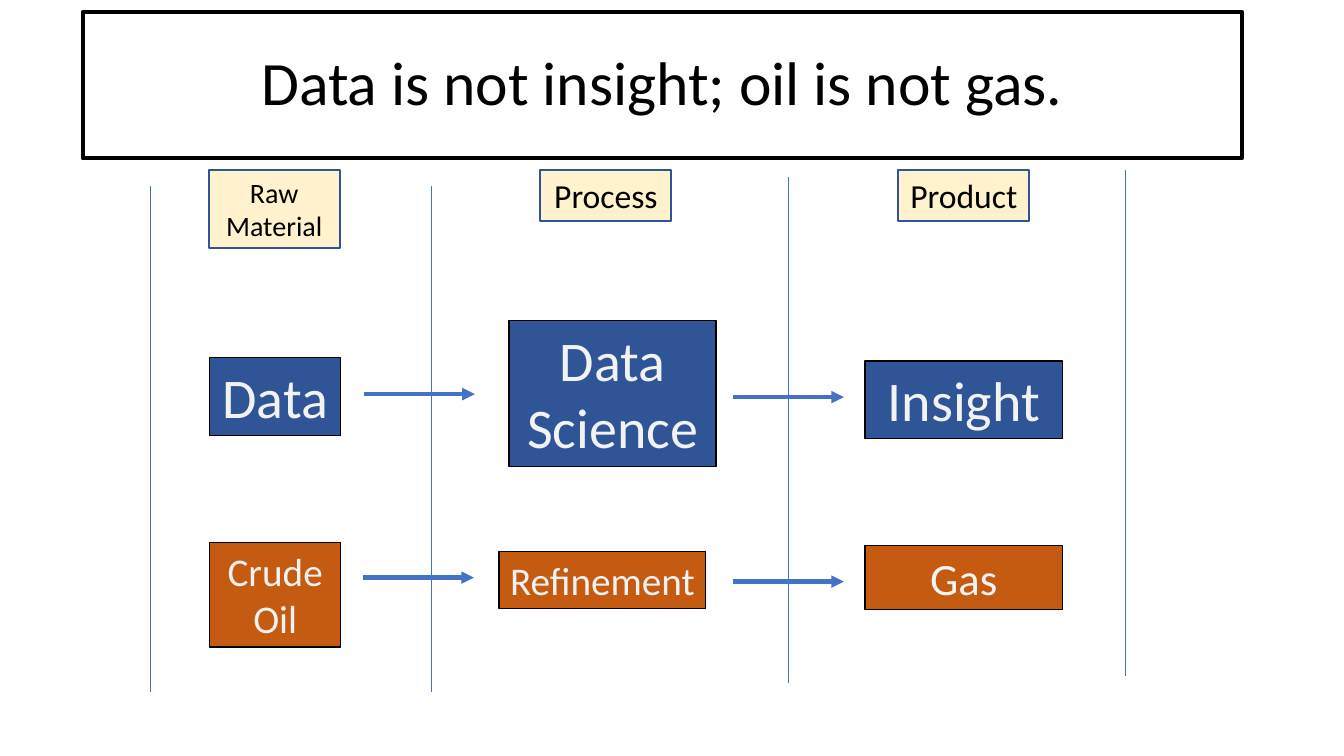
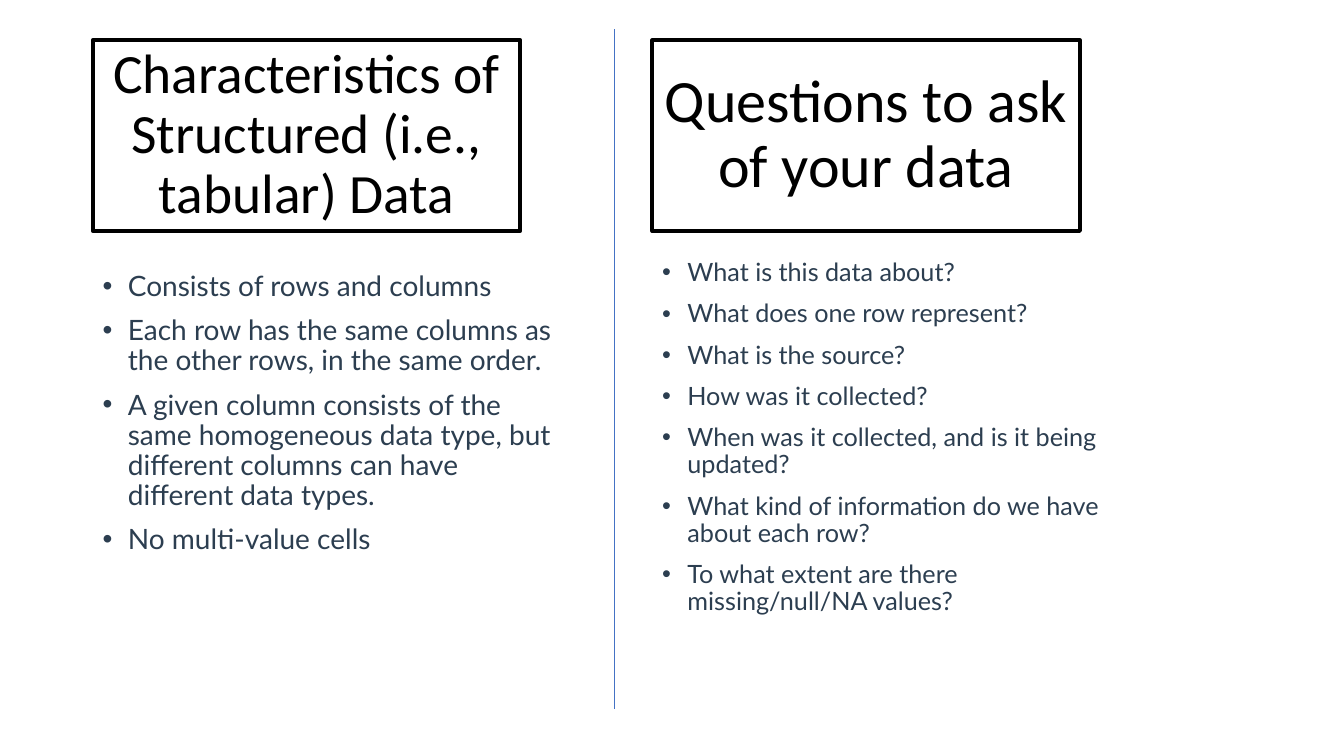
from lxml import etree
from pptx import Presentation
from pptx.dml.color import RGBColor
from pptx.enum.shapes import MSO_CONNECTOR, MSO_SHAPE
from pptx.enum.text import MSO_ANCHOR, PP_ALIGN
from pptx.oxml.ns import qn
from pptx.util import Inches, Pt

RECTANGLE = MSO_SHAPE.RECTANGLE
STRAIGHT = MSO_CONNECTOR.STRAIGHT
TOP, MIDDLE = MSO_ANCHOR.TOP, MSO_ANCHOR.MIDDLE
CENTER = PP_ALIGN.CENTER

COLORS = {
    "black": "000000",
    "navy": "2F5597",
    "orange": "C55A11",
    "cream": "FFF2CC",
    "pale": "F2F2F2",
    "blue": "4472C4",
    "slate": "2C3E50",
}
HEADING_FONT = "Calibri"
BODY_FONT = "Lato"

HEADERS = [
    ("Raw Material", 2.07, 0.77, 20),
    ("Process", 5.36, 0.5, 24),
    ("Product", 8.91, 0.5, 24),
]
STEPS = [
    ("Data", (2.08, 3.55, 1.3, 0.77), 40, "navy"),
    ("Data Science", (5.05, 3.18, 2.05, 1.45), 40, "navy"),
    ("Insight", (8.58, 3.58, 1.96, 0.77), 40, "navy"),
    ("Crude Oil", (2.08, 5.38, 1.3, 1.04), 28, "orange"),
    ("Refinement", (4.95, 5.47, 2.05, 0.57), 28, "orange"),
    ("Gas", (8.58, 5.41, 1.96, 0.64), 32, "orange"),
]
ARROWS = [(3.61, 3.91), (7.27, 3.94), (3.6, 5.73), (7.27, 5.77)]
DIVIDERS = [(1.49, 1.85), (4.28, 1.85), (7.82, 1.76), (11.16, 1.69)]

CHARACTERISTICS = [
    "Consists of rows and columns",
    "Each row has the same columns as the other rows, in the same order.",
    "A given column consists of the same homogeneous data type, "
    "but different columns can have different data types.",
    "No multi-value cells",
]
QUESTIONS = [
    "What is this data about?",
    "What does one row represent?",
    "What is the source?",
    "How was it collected?",
    "When was it collected, and is it being updated?",
    "What kind of information do we have about each row?",
    "To what extent are there missing/null/NA values?",
]


def rgb(name):
    return RGBColor.from_string(COLORS[name])


def set_font(para, name, size, color):
    para.font.name = name
    para.font.size = Pt(size)
    para.font.color.rgb = rgb(color)


def add_box(page, text, area, size, fill, line, width, color, anchor=TOP):
    box = page.shapes.add_shape(RECTANGLE, *map(Inches, area))
    box.shadow.inherit = False
    if fill:
        box.fill.solid()
        box.fill.fore_color.rgb = rgb(fill)
    else:
        box.fill.background()
    box.line.color.rgb = rgb(line)
    box.line.width = Pt(width)
    frame = box.text_frame
    frame.word_wrap = True
    frame.vertical_anchor = anchor
    para = frame.paragraphs[0]
    para.text = text
    para.alignment = CENTER
    set_font(para, HEADING_FONT, size, color)
    return box


def add_title(page, text, area, size):
    box = add_box(page, text, area, size, None, "black", 3, "black", MIDDLE)
    box.text_frame.paragraphs[0].line_spacing = 0.9
    etree.SubElement(box.line._get_or_add_ln(), qn("a:round"))


def add_line(page, start, end, width, arrow=False):
    line = page.shapes.add_connector(STRAIGHT, *map(Inches, start + end))
    line.line.color.rgb = rgb("blue")
    line.line.width = Pt(width)
    if arrow:
        etree.SubElement(line.line._get_or_add_ln(), qn("a:tailEnd"), type="triangle")
    etree.SubElement(line._element.spPr, qn("a:effectLst"))


def add_bullets(page, items, left, top, size):
    box = page.shapes.add_textbox(Inches(left), Inches(top), Inches(4.8), Inches(4.28))
    frame = box.text_frame
    frame.word_wrap = True
    for index, item in enumerate(items):
        para = frame.add_paragraph() if index else frame.paragraphs[0]
        para.text = item
        para.line_spacing = 0.9
        para.space_before = Pt(10)
        properties = para._p.get_or_add_pPr()
        properties.set("marL", str(Inches(0.25)))
        properties.set("indent", str(-Inches(0.25)))
        etree.SubElement(properties, qn("a:buFont"), typeface="Arial")
        etree.SubElement(properties, qn("a:buChar"), char="•")
        set_font(para, BODY_FONT, size, "slate")


def build_process_page(page):
    add_title(page, "Data is not insight; oil is not gas.", (0.82, 0.12, 11.5, 1.45), 44)
    for text, area, size, fill in STEPS:
        add_box(page, text, area, size, fill, "black", 1, "pale")
    for left, top in ARROWS:
        add_line(page, (left, top), (left + 1.1, top), 3, arrow=True)
    for left, top in DIVIDERS:
        add_line(page, (left, top), (left, top + 5.02), 0.5)
    for text, left, height, size in HEADERS:
        add_box(page, text, (left, 1.69, 1.3, height), size, "cream", "navy", 1.5, "black")


def build_data_page(page):
    columns = [
        ("Characteristics of Structured (i.e., tabular) Data", 39.6,
         CHARACTERISTICS, 0.92, 2.65, 20),
        ("Questions to ask of your data", 42.9, QUESTIONS, 6.47, 2.53, 18),
    ]
    for title, title_size, items, left, top, size in columns:
        add_title(page, title, (left, 0.4, 4.24, 1.89), title_size)
        add_bullets(page, items, left, top, size)
    add_line(page, (6.09, 0.29), (6.09, 7.03), 0.5)


def main():
    deck = Presentation()
    deck.slide_width = Inches(13.33)
    deck.slide_height = Inches(7.5)
    blank = deck.slide_layouts[6]
    for build in (build_process_page, build_data_page):
        build(deck.slides.add_slide(blank))
    deck.save("out.pptx")


main()
